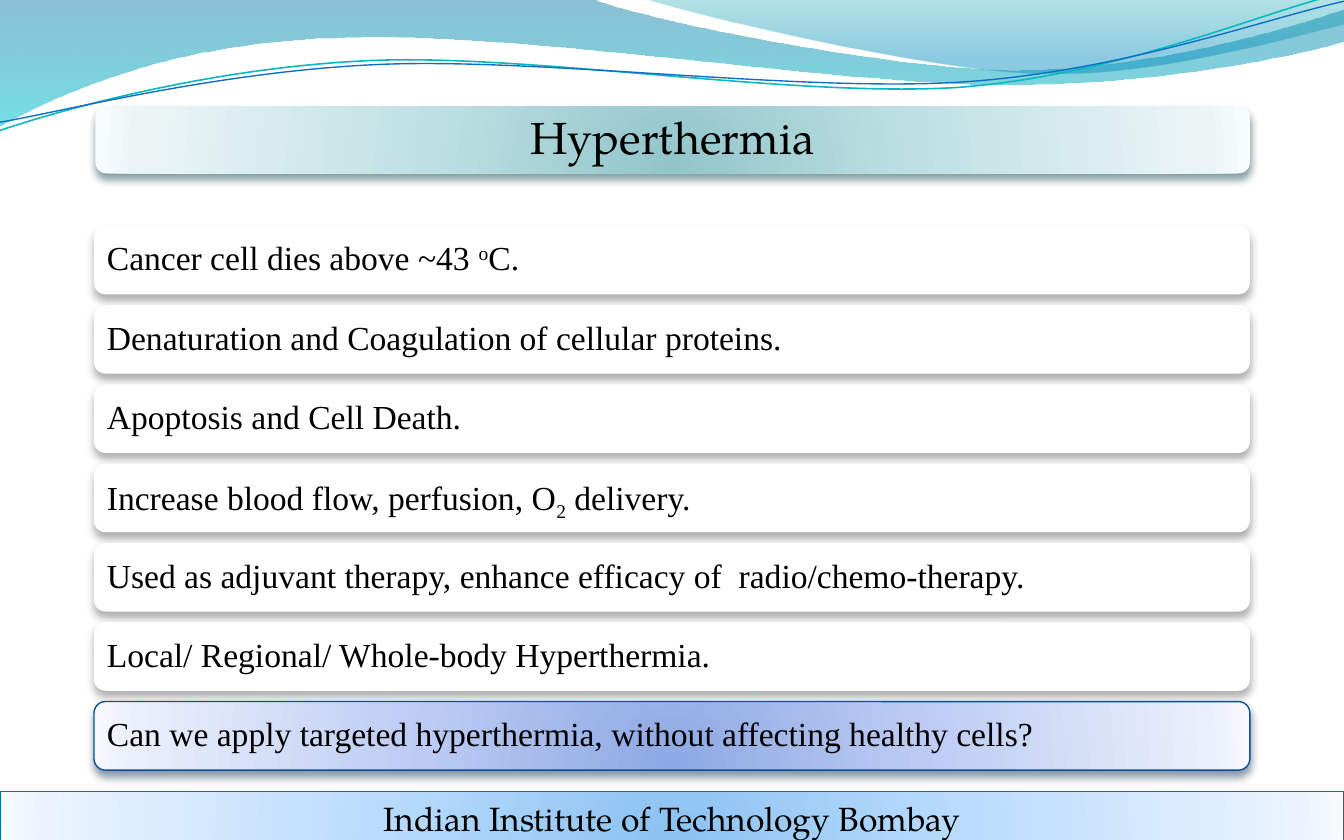
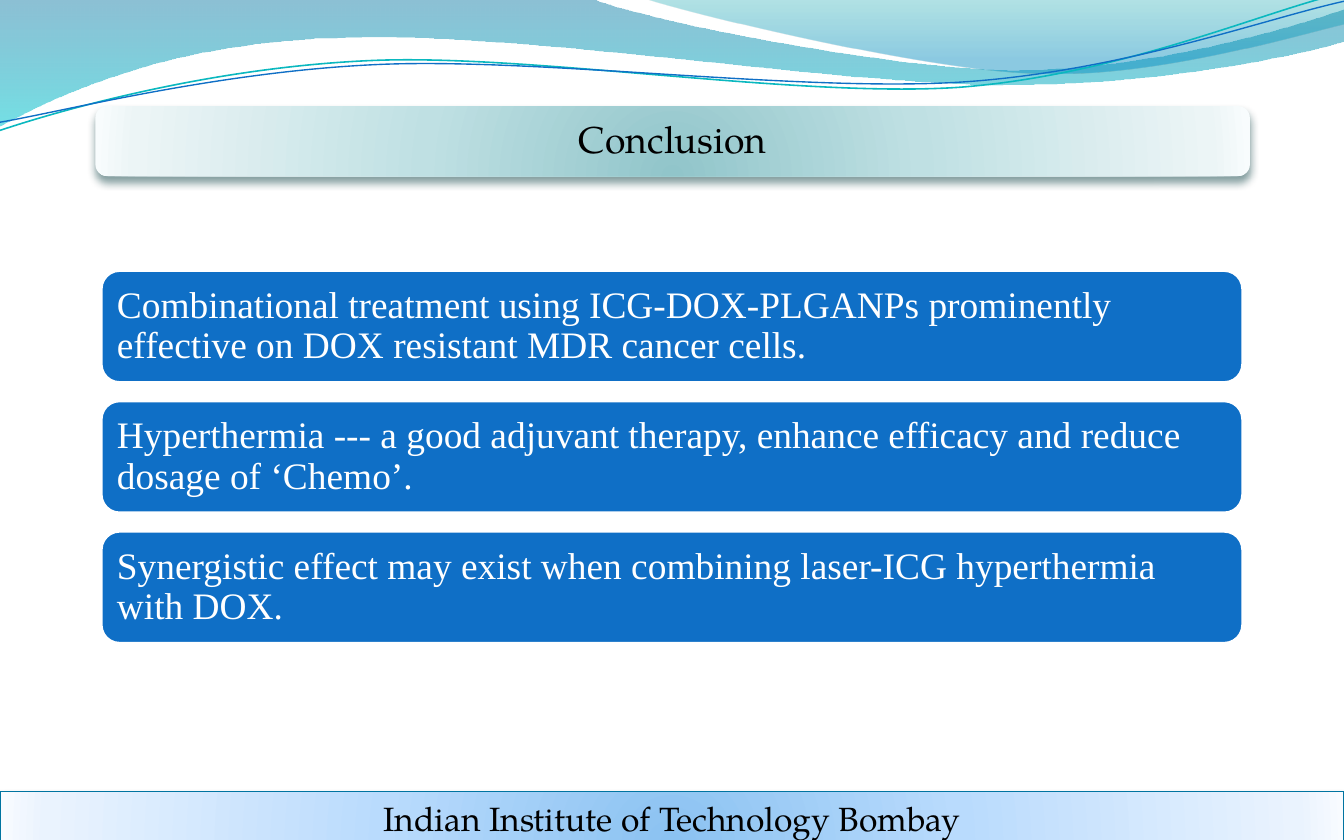
from lxml import etree
from pptx import Presentation
from pptx.dml.color import RGBColor
from pptx.enum import shapes, text
from pptx.oxml import ns
from pptx.util import Inches, Pt

DISPLAY_FONT = "TeX Gyre Pagella"
BODY_FONT = "Times New Roman"
BLACK, WHITE, BLUE, TEAL = "000000", "FFFFFF", "0F6FC6", "0AB8BF"
DEEP_BLUE, DEEP_TEAL = "0074A1", "02373A"

# Gradient stops are (position, colour, opacity), all in percent.
BAND_GLOW = [(0, "91C5CA", 100), (43, "BFE0E3", 100), (93, "ECF5F6", 100), (100, "F8FCFD", 100)]
FOOTER_GLOW = [(0, "8BC2F1", 100), (43, "B9DBFD", 100), (93, "EAF3FE", 100), (100, "F8FBFF", 100)]
QUESTION_GLOW = [(0, "8DA8E3", 100), (43, "BBCBF3", 100), (93, "EAEFFB", 100), (100, "F7F9FF", 100)]

# Each wave is a start point followed by line (2 numbers) and cubic (6 numbers) segments.
BROAD_WAVE = [
    (0, 0), (4.4, -0.01), (4.76, 0.14, 6.64, 0.52, 7.58, 0.52),
    (8.53, 0.52, 9.58, 0.21, 10, 0.07), (10.01, 0.3),
    (9.83, 0.37, 8.7, 0.63, 7.46, 0.63), (6.22, 0.63, 3.82, 0.23, 2.57, 0.28),
    (1.29, 0.3, 0.46, 0.69, -0.01, 0.94),
]
RIGHT_WAVE = [
    (4.79, -0.01), (5.09, 0.09, 6.82, 0.51, 7.69, 0.54),
    (8.56, 0.58, 9.61, 0.27, 10, 0.18), (10, 0),
]
TEAL_STROKE = [
    (0, 0.97), (0.48, 0.81, 1.58, 0.5, 2.77, 0.45),
    (3.95, 0.4, 5.92, 0.73, 7.13, 0.65), (8.33, 0.56, 9.39, 0.09, 9.98, -0.05),
]
BLUE_STROKE = [
    (0, 0.91), (0.47, 0.83, 1.64, 0.53, 2.83, 0.48),
    (4.03, 0.43, 5.97, 0.69, 7.17, 0.61), (8.36, 0.53, 9.41, 0.14, 10, 0.01),
]

# A row is a list of (text, baseline shift in percent) runs.
FACTS = [
    [("Cancer cell dies above ~43 ", 0), ("o", 30), ("C.", 0)],
    [("Denaturation and Coagulation of cellular proteins.", 0)],
    [("Apoptosis and Cell Death.", 0)],
    [("Increase blood flow, perfusion, O", 0), ("2", -25), (" delivery.", 0)],
    [("Used as adjuvant therapy, enhance efficacy of  radio/chemo-therapy.", 0)],
    [("Local/ Regional/ Whole-body Hyperthermia.", 0)],
    [("Can we apply targeted hyperthermia, without affecting healthy cells?", 0)],
]
CONCLUSIONS = [
    [("Combinational treatment using ICG-DOX-PLGANPs prominently "
      "effective on DOX resistant MDR cancer cells.", 0)],
    [("Hyperthermia --- a good adjuvant therapy, enhance efficacy and "
      "reduce dosage of ‘Chemo’.", 0)],
    [("Synergistic effect may exist when combining laser-ICG hyperthermia with DOX.", 0)],
]

PLAIN_BAR = {"fill": WHITE, "shadow": "5A5A5A"}
QUESTION_BAR = {"fill": QUESTION_GLOW, "line": "095295", "shadow": "042747"}
BLUE_BAR = {"fill": BLUE, "line": WHITE, "width": 2}


def rgb(value):
    return RGBColor.from_string(value)


def add_child(parent, tag, **attributes):
    child = etree.SubElement(parent, ns.qn(tag))
    for name, value in attributes.items():
        child.set(name, str(value))
    return child


def add_color(parent, value, opacity):
    color = add_child(parent, "a:srgbClr", val=value)
    if opacity < 100:
        add_child(color, "a:alpha", val=opacity * 1000)


def fill_gradient(shape, stops, radial=True):
    """Radial gradients glow from the middle; others run top to bottom."""
    shape.fill.gradient()
    gradient = shape.element.spPr.find(ns.qn("a:gradFill"))
    for child in list(gradient):
        gradient.remove(child)
    stop_list = add_child(gradient, "a:gsLst")
    for position, value, opacity in stops:
        add_color(add_child(stop_list, "a:gs", pos=position * 1000), value, opacity)
    if radial:
        glow = add_child(gradient, "a:path", path="circle")
        add_child(glow, "a:fillToRect", l=50000, t=130000, r=50000, b=-30000)
    else:
        add_child(gradient, "a:lin", ang=90 * 60000, scaled=0)


def set_look(shape, fill=None, line=None, width=0.75, shadow=None, radial=True):
    """Fill is a hex colour, a list of gradient stops or None."""
    if fill is None:
        shape.fill.background()
    elif isinstance(fill, str):
        shape.fill.solid()
        shape.fill.fore_color.rgb = rgb(fill)
    else:
        fill_gradient(shape, fill, radial)
    if line:
        shape.line.color.rgb = rgb(line)
        shape.line.width = Pt(width)
    else:
        shape.line.fill.background()
    shape.shadow.inherit = False
    if shadow:
        effects = shape.element.spPr.find(ns.qn("a:effectLst"))
        outer = add_child(effects, "a:outerShdw", blurRad=Pt(4.5), dist=Pt(3),
                          dir=90 * 60000, rotWithShape=0)
        add_color(outer, shadow, 48)


def write(shape, runs, size, font=BODY_FONT, color=BLACK, align=text.PP_ALIGN.LEFT,
          inset=0.08, spacing=0.9):
    frame = shape.text_frame
    margin = Inches(inset)
    frame_format = {
        "word_wrap": True, "auto_size": text.MSO_AUTO_SIZE.NONE,
        "vertical_anchor": text.MSO_ANCHOR.MIDDLE,
        "margin_left": margin, "margin_right": margin,
        "margin_top": margin, "margin_bottom": margin,
    }
    for name, value in frame_format.items():
        setattr(frame, name, value)
    paragraph = frame.paragraphs[0]
    paragraph.alignment = align
    paragraph.line_spacing = spacing
    for words, baseline in runs:
        run = paragraph.add_run()
        run.text = words
        for name, value in {"size": Pt(size), "name": font}.items():
            setattr(run.font, name, value)
        run.font.color.rgb = rgb(color)
        if baseline:
            run.font._element.set("baseline", str(baseline * 1000))


def add_box(slide, box, kind=shapes.MSO_SHAPE.ROUNDED_RECTANGLE):
    return slide.shapes.add_shape(kind, *map(Inches, box))


def shrink(box, pad):
    left, top, width, height = box
    return left + pad, top + pad, width - 2 * pad, height - 2 * pad


def add_wave(slide, outline, closed):
    """Join the end points with lines, then bend those that have control points."""
    ends = [(Inches(segment[-2]), Inches(segment[-1])) for segment in outline]
    builder = slide.shapes.build_freeform(*ends[0])
    builder.add_line_segments(ends[1:], close=closed)
    wave = builder.convert_to_shape()
    lines = list(wave.element.iter(ns.qn("a:lnTo")))
    for line, segment in zip(lines, outline[1:]):
        if len(segment) == 6:
            line.tag = ns.qn("a:cubicBezTo")
            line.remove(line[0])
            for x, y in zip(segment[::2], segment[1::2]):
                add_child(line, "a:pt", x=Inches(x) - wave.left, y=Inches(y) - wave.top)
    return wave


def add_waves_to_layout(slide):
    """Draw the waves, then move them to the layout that all slides share."""
    layout_tree = slide.slide_layout.shapes.element
    for outline, stops in (
        (BROAD_WAVE, [(0, DEEP_BLUE, 45), (100, "00C6CF", 55)]),
        (RIGHT_WAVE, [(0, "00A1A9", 30), (80, "008BBF", 45)]),
    ):
        wave = add_wave(slide, outline, closed=True)
        set_look(wave, stops, radial=False)
        layout_tree.append(wave.element)
    for outline, color, width in ((TEAL_STROKE, TEAL, 0.85), (BLUE_STROKE, BLUE, 0.75)):
        stroke = add_wave(slide, outline, closed=False)
        set_look(stroke, line=color, width=width)
        layout_tree.append(stroke.element)


def add_title(slide, words, box, size, inset):
    set_look(add_box(slide, box), BAND_GLOW, shadow=DEEP_TEAL)
    title = slide.shapes.title
    for name, value in zip(("left", "top", "width", "height"), shrink(box, 0.025)):
        setattr(title, name, Inches(value))
    write(title, [(words, 0)], size, DISPLAY_FONT, align=text.PP_ALIGN.CENTER, inset=inset)
    slide.shapes.element.append(title.element)  # bring in front of the band


def add_footer(slide, box=(0, 5.89, 10, 0.4)):
    footer = add_box(slide, box, shapes.MSO_SHAPE.RECTANGLE)
    set_look(footer, FOOTER_GLOW, line=DEEP_BLUE, shadow="00374C")
    write(footer, [("Indian Institute of Technology Bombay", 0)], 18, DISPLAY_FONT,
          align=text.PP_ALIGN.CENTER, inset=0.05, spacing=1.0)


def add_rows(slide, rows, looks, box, pitch, pad, **text_format):
    """Stack a rounded bar and its text for each row; box is the first bar."""
    left, top, width, height = box
    for index, (runs, look) in enumerate(zip(rows, looks)):
        row_box = (left, top + index * pitch, width, height)
        set_look(add_box(slide, row_box), **look)
        label = slide.shapes.add_textbox(*map(Inches, shrink(row_box, pad)))
        write(label, runs, **text_format)


def build_hyperthermia(slide):
    add_title(slide, "Hyperthermia", (0.71, 0.79, 8.59, 0.5), 24, inset=0.1)
    add_footer(slide)
    looks = [PLAIN_BAR] * (len(FACTS) - 1) + [QUESTION_BAR]
    add_rows(slide, FACTS, looks, (0.7, 1.68, 8.6, 0.51), 0.59, 0.025, size=18, inset=0.07)


def build_conclusion(slide):
    add_title(slide, "Conclusion", (0.71, 0.79, 8.59, 0.52), 20, inset=0.08)
    add_footer(slide)
    looks = [BLUE_BAR] * len(CONCLUSIONS)
    add_rows(slide, CONCLUSIONS, looks, (0.75, 2.01, 8.5, 0.84), 0.97, 0.04, size=20, color=WHITE)


def main():
    presentation = Presentation()
    presentation.slide_width = Inches(10)
    presentation.slide_height = Inches(6.25)
    title_only = presentation.slide_layouts[5]
    hyperthermia, conclusion = (presentation.slides.add_slide(title_only) for _ in range(2))
    add_waves_to_layout(hyperthermia)
    build_hyperthermia(hyperthermia)
    build_conclusion(conclusion)
    presentation.save("out.pptx")


if __name__ == "__main__":
    main()
